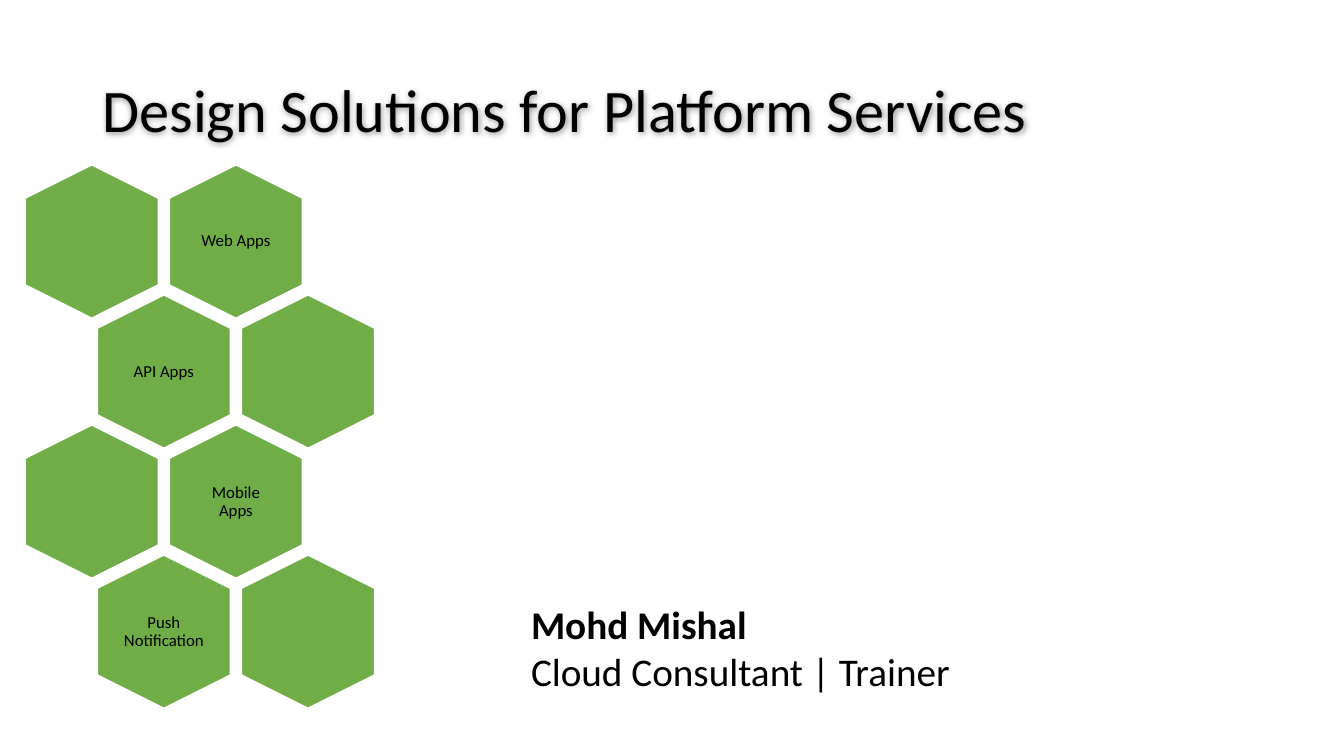
from dataclasses import dataclass

from lxml import etree
from pptx import Presentation
from pptx.dml.color import RGBColor
from pptx.enum import shapes, text
from pptx.oxml.ns import qn
from pptx.util import Pt

COLORS = {"hexagon": "70AD47", "outline": "FFFFFF", "text": "000000"}
FONT = "Calibri"
HEX_W, HEX_H = 109.44, 95.04  # before the quarter turn
LEFT, TOP = 10.8, 125
COLUMN_STEP, ROW_STEP = 103, 92.88
LABEL_W, LABEL_H = 65.5, 75.6


@dataclass
class Row:
    label: str
    label_column: int
    indent: float


ROWS = [
    Row("Web Apps", 1, 0),
    Row("API Apps", 0, COLUMN_STEP / 2),
    Row("Mobile Apps", 1, 0),
    Row("Push Notification", 0, COLUMN_STEP / 2),
]


def rgb(name: str) -> RGBColor:
    return RGBColor.from_string(COLORS[name])


def set_font(p, size: float, bold: bool = False) -> None:
    p.font.name = FONT
    p.font.size = Pt(size)
    p.font.bold = bold
    p.font.color.rgb = rgb("text")


def add_soft_shadow(sp) -> None:
    """Give the text of an unfilled shape a blurred shadow."""
    effects = etree.SubElement(sp._element.spPr, qn("a:effectLst"))
    shadow = etree.SubElement(effects, qn("a:outerShdw"), blurRad=str(Pt(4)),
                              dist="0", dir="0", algn="ctr", rotWithShape="0")
    color = etree.SubElement(shadow, qn("a:srgbClr"), val=COLORS["text"])
    etree.SubElement(color, qn("a:alpha"), val="40000")


def add_title(s) -> None:
    sp = s.shapes.title
    sp.left, sp.top, sp.width, sp.height = Pt(66), Pt(28.8), Pt(828), Pt(104.4)
    tf = sp.text_frame
    tf.text = "Design Solutions for Platform Services"
    tf.auto_size = text.MSO_AUTO_SIZE.NONE
    tf.vertical_anchor = text.MSO_ANCHOR.MIDDLE
    p = tf.paragraphs[0]
    p.alignment = text.PP_ALIGN.LEFT
    p.line_spacing = 0.9
    set_font(p, 43.1)
    add_soft_shadow(sp)


def add_hexagon(group, left: float, top: float) -> None:
    sp = group.shapes.add_shape(shapes.MSO_SHAPE.HEXAGON, Pt(left), Pt(top), Pt(HEX_W), Pt(HEX_H))
    sp.rotation = 90
    sp.shadow.inherit = False
    sp.fill.solid()
    sp.fill.fore_color.rgb = rgb("hexagon")
    sp.line.color.rgb = rgb("outline")
    sp.line.width = Pt(1)


def add_label(group, label: str, left: float, top: float) -> None:
    """Centre an upright label over the turned hexagon at left, top."""
    sp = group.shapes.add_textbox(Pt(left + (HEX_W - LABEL_W) / 2), Pt(top + (HEX_H - LABEL_H) / 2),
                                  Pt(LABEL_W), Pt(LABEL_H))
    tf = sp.text_frame
    tf.word_wrap = True
    tf.vertical_anchor = text.MSO_ANCHOR.MIDDLE
    tf.margin_left = tf.margin_right = tf.margin_top = tf.margin_bottom = Pt(3.6)
    p = tf.paragraphs[0]
    p.text = label
    p.alignment = text.PP_ALIGN.CENTER
    p.line_spacing = 0.9
    set_font(p, 12)


def add_honeycomb(s) -> None:
    group = s.shapes.add_group_shape()
    for i, row in enumerate(ROWS):
        top = TOP + i * ROW_STEP
        for column in range(2):
            left = LEFT + row.indent + column * COLUMN_STEP
            add_hexagon(group, left, top)
            if column == row.label_column:
                add_label(group, row.label, left, top)


def add_presenter(s) -> None:
    tf = s.shapes.add_textbox(Pt(372.24), Pt(425.5), Pt(340.56), Pt(74.9)).text_frame
    tf.word_wrap = True
    tf.auto_size = text.MSO_AUTO_SIZE.SHAPE_TO_FIT_TEXT
    tf.text = "Mohd Mishal\nCloud Consultant | Trainer"
    name, role = tf.paragraphs
    set_font(name, 28, bold=True)
    set_font(role, 28)


def main() -> None:
    prs = Presentation()
    prs.slide_width, prs.slide_height = Pt(960), Pt(540)
    s = prs.slides.add_slide(prs.slide_layouts[5])
    add_title(s)
    add_honeycomb(s)
    add_presenter(s)
    prs.save("out.pptx")


if __name__ == "__main__":
    main()
